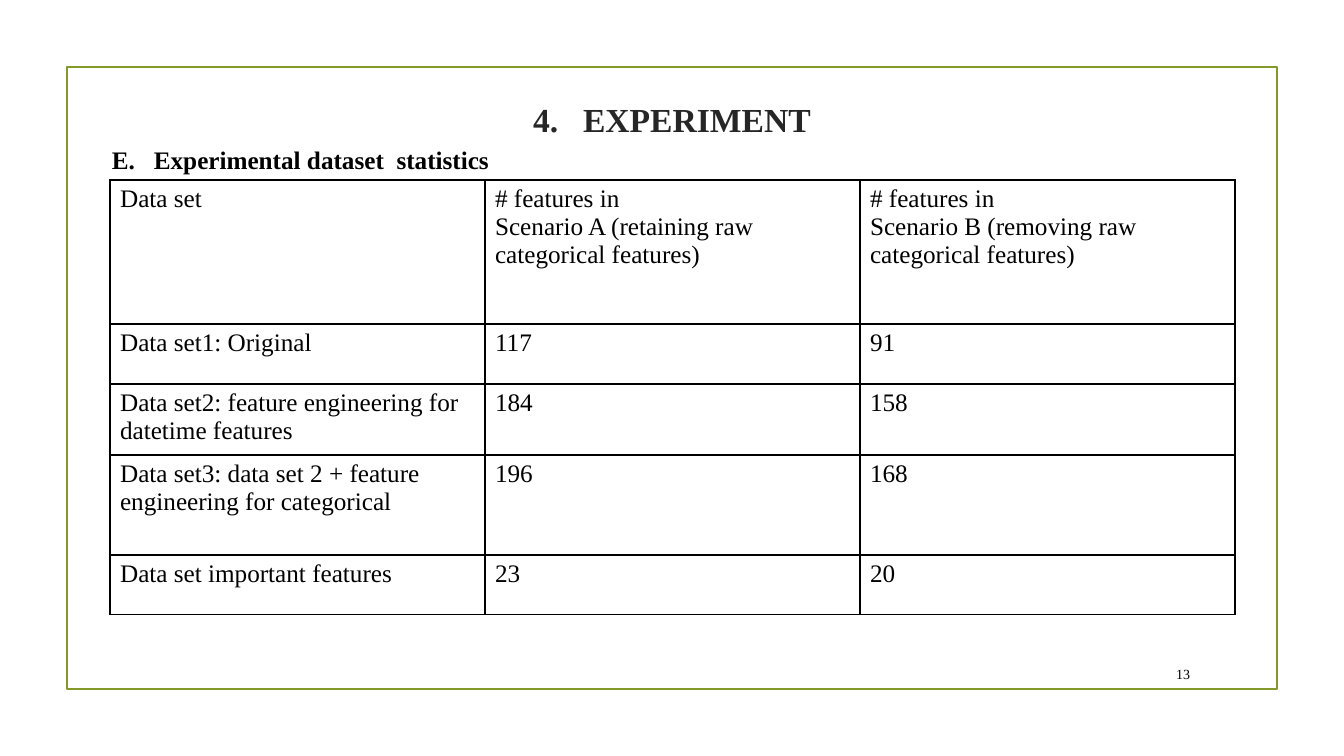
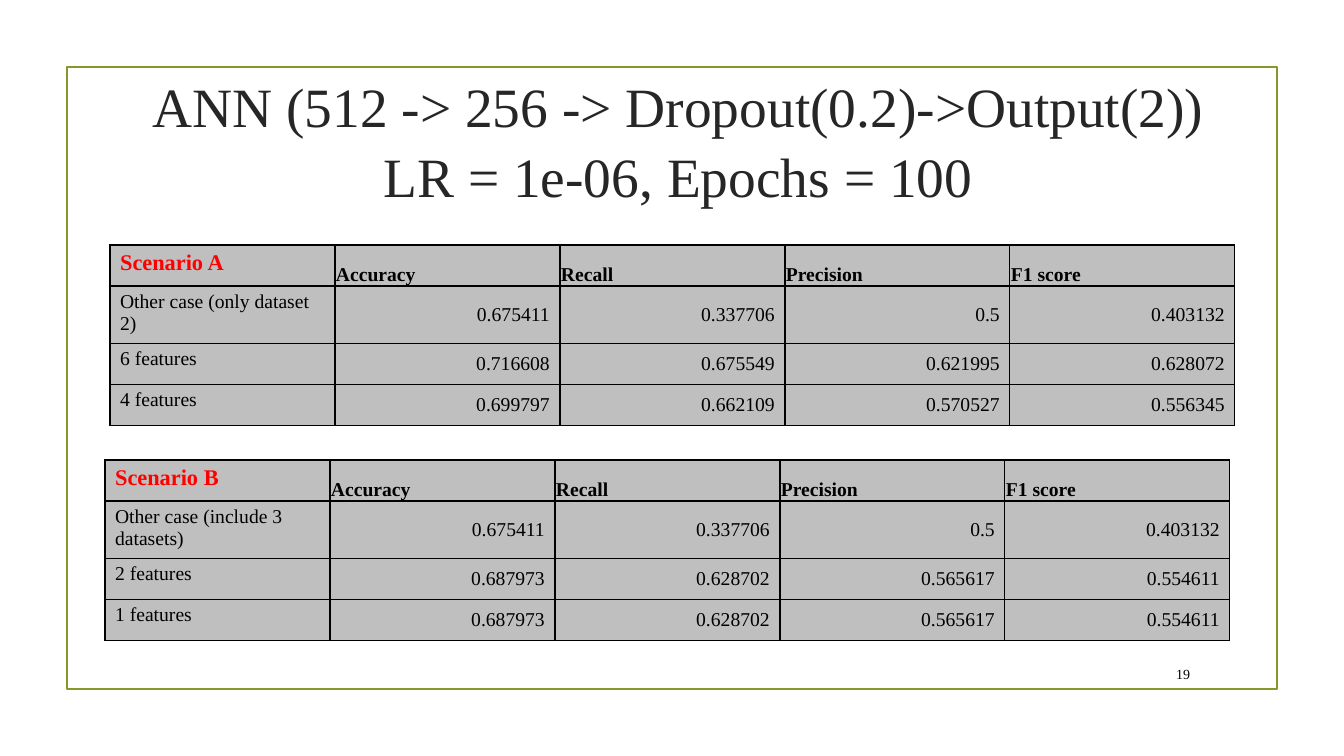
from lxml import etree
from pptx import Presentation
from pptx.dml.color import RGBColor
from pptx.enum.shapes import MSO_SHAPE
from pptx.enum.text import MSO_ANCHOR, MSO_AUTO_SIZE, PP_ALIGN
from pptx.oxml.ns import qn
from pptx.util import Pt

RECT = MSO_SHAPE.RECTANGLE
TOP, MID, LOW = MSO_ANCHOR.TOP, MSO_ANCHOR.MIDDLE, MSO_ANCHOR.BOTTOM
LEFT, MIDST, RIGHT = PP_ALIGN.LEFT, PP_ALIGN.CENTER, PP_ALIGN.RIGHT
FIXED = MSO_AUTO_SIZE.NONE

SCALE = 914400 / 100.8
FACE = "Times New Roman"
BLACK, WHITE, DARK, GREEN = "000000", "FFFFFF", "262626", "83992A"
RED, GRAY = "FF0000", "BFBFBF"
FRAME = (67, 67, 1210, 622)

STATS = [
    ("Data set",
     "# features in\nScenario A (retaining raw categorical features)",
     "# features in\nScenario B (removing raw categorical features)"),
    ("Data set1: Original", "117", "91"),
    ("Data set2: feature engineering for datetime features", "184", "158"),
    ("Data set3: data set 2 + feature engineering for categorical",
     "196", "168"),
    ("Data set important features", "23", "20"),
]
HEADS = ("Accuracy", "Recall", "Precision", "F1 score")
BASE = ("0.675411", "0.337706", "0.5", "0.403132")
FEW = ("0.687973", "0.628702", "0.565617", "0.554611")
CASE_A = [
    ("Scenario A", *HEADS),
    ("Other case (only dataset 2)", *BASE),
    ("6 features", "0.716608", "0.675549", "0.621995", "0.628072"),
    ("4 features", "0.699797", "0.662109", "0.570527", "0.556345"),
]
CASE_B = [
    ("Scenario B", *HEADS),
    ("Other case (include 3 datasets)", *BASE),
    ("2 features", *FEW),
    ("1 features", *FEW),
]


def px(num):
    """Turn px into EMU."""
    return round(num * SCALE)


def rgb(code):
    """Turn a hex string into a colour."""
    return RGBColor.from_string(code)


def put(item, **form):
    """Set each attribute of an item from format values."""
    for key, val in form.items():
        setattr(item, key, val)


def within(box, left, top, wide, high):
    """Give an area in EMU, offset from the corner of a box."""
    return [px(n) for n in (box[0] + left, box[1] + top, wide, high)]


def write(frame, text, size, color=BLACK, bold=False, align=LEFT, space=None):
    """Fill a text frame with text in one format."""
    frame.text = text
    for para in frame.paragraphs:
        put(para, alignment=align, line_spacing=space)
        for run in para.runs:
            put(run.font, name=FACE, size=Pt(size), bold=bold)
            run.font.color.rgb = rgb(color)


def hang(para, wide):
    """Give a paragraph a hanging indent."""
    props = para._p.get_or_add_pPr()
    props.set("marL", str(px(wide)))
    props.set("indent", str(-px(wide)))
    return props


def border(cell):
    """Draw a thin black line on each side of a cell."""
    props = cell._tc.get_or_add_tcPr()
    for spot, side in enumerate(("lnL", "lnR", "lnT", "lnB")):
        line = etree.Element(qn("a:" + side), w=str(Pt(1)))
        fill = etree.SubElement(line, qn("a:solidFill"))
        etree.SubElement(fill, qn("a:srgbClr"), val=BLACK)
        props.insert(spot, line)


def label(slide, box, area, text, size, anchor=TOP, **form):
    """Add a text box inside a box."""
    frame = slide.shapes.add_textbox(*within(box, *area)).text_frame
    put(frame, word_wrap=True, vertical_anchor=anchor)
    write(frame, text, size, **form)
    return frame


def border_page(deck, slide, box):
    """Draw the green frame and place it on the master."""
    shape = slide.shapes.add_shape(RECT, *within(box, 0, 0, *box[2:]))
    shape.shadow.inherit = False
    shape.fill.background()
    shape.line.color.rgb = rgb(GREEN)
    shape.line.width = Pt(1.25)
    deck.slide_master.shapes.element.append(shape._element)


def page(deck, box, num):
    """Add a slide with its number."""
    slide = deck.slides.add_slide(deck.slide_layouts[5])
    label(slide, box, (1074, 591, 59, 31), num, 10, MID, align=RIGHT)
    return slide


def title(slide, box, area, text, size, **form):
    """Place and fill the title."""
    shape = slide.shapes.title
    spots = ("left", "top", "width", "height")
    put(shape, **dict(zip(spots, within(box, *area))))
    frame = shape.text_frame
    put(frame, auto_size=FIXED, word_wrap=True, vertical_anchor=MID)
    write(frame, text, size, DARK, align=MIDST, **form)
    return frame


def grid(slide, box, left, top, wide, highs, rows, shade, form):
    """Add a table whose cells take their format from a rule."""
    count = len(rows[0])
    area = within(box, left, top, wide * count, sum(highs))
    table = slide.shapes.add_table(len(rows), count, *area).table
    put(table, first_row=False, horz_banding=False)
    for col in table.columns:
        col.width = px(wide)
    for i, (high, row) in enumerate(zip(highs, rows)):
        table.rows[i].height = px(high)
        for j, text in enumerate(row):
            cell = table.cell(i, j)
            place, look = form(i, j)
            put(cell, **place)
            cell.fill.solid()
            cell.fill.fore_color.rgb = rgb(shade)
            border(cell)
            write(cell.text_frame, text, **look)


def plain(row, col):
    """Format every cell the same."""
    return {}, {"size": 18}


def score(row, col):
    """Format a cell of a score table by its place."""
    if row and col:
        return {"vertical_anchor": MID}, {"size": 14, "align": RIGHT}
    if row:
        return {}, {"size": 14}
    if col:
        thin = px(1)
        place = {"vertical_anchor": LOW, "margin_left": thin,
                 "margin_right": thin, "margin_top": thin,
                 "margin_bottom": 0}
        return place, {"size": 14, "bold": True}
    return {}, {"size": 16, "bold": True, "color": RED}


def stats(slide, box):
    """Fill the slide on dataset statistics."""
    frame = title(slide, box, (76, 0, 1058, 144), "EXPERIMENT", 24, bold=True)
    frame.margin_bottom = px(44)
    props = hang(frame.paragraphs[0], 50)
    etree.SubElement(props, qn("a:buFont"), typeface="+mj-lt")
    etree.SubElement(props, qn("a:buAutoNum"), type="arabicPeriod",
                     startAt="4")
    head = label(slide, box, (35, 72, 571, 40),
                 "E.\tExperimental dataset  statistics", 18, bold=True)
    hang(head.paragraphs[0], 42)
    grid(slide, box, 43, 113, 375, (144, 60, 71, 100, 60), STATS, WHITE, plain)


def scores(slide, box):
    """Fill the slide on network scores."""
    title(slide, box, (38, 0, 1146, 144),
          "ANN (512 -> 256 -> Dropout(0.2)->Output(2))\v"
          "LR = 1e-06, Epochs = 100", 39.6, space=1.05)
    for left, top, rows in ((43, 178, CASE_A), (38, 393, CASE_B)):
        grid(slide, box, left, top, 225, (41, 53, 41, 41), rows, GRAY, score)


def main():
    """Build and save the slides."""
    deck = Presentation()
    put(deck, slide_width=px(1344), slide_height=px(756))
    first = page(deck, FRAME, "13")
    border_page(deck, first, FRAME)
    stats(first, FRAME)
    scores(page(deck, FRAME, "19"), FRAME)
    deck.save("out.pptx")


if __name__ == "__main__":
    main()
